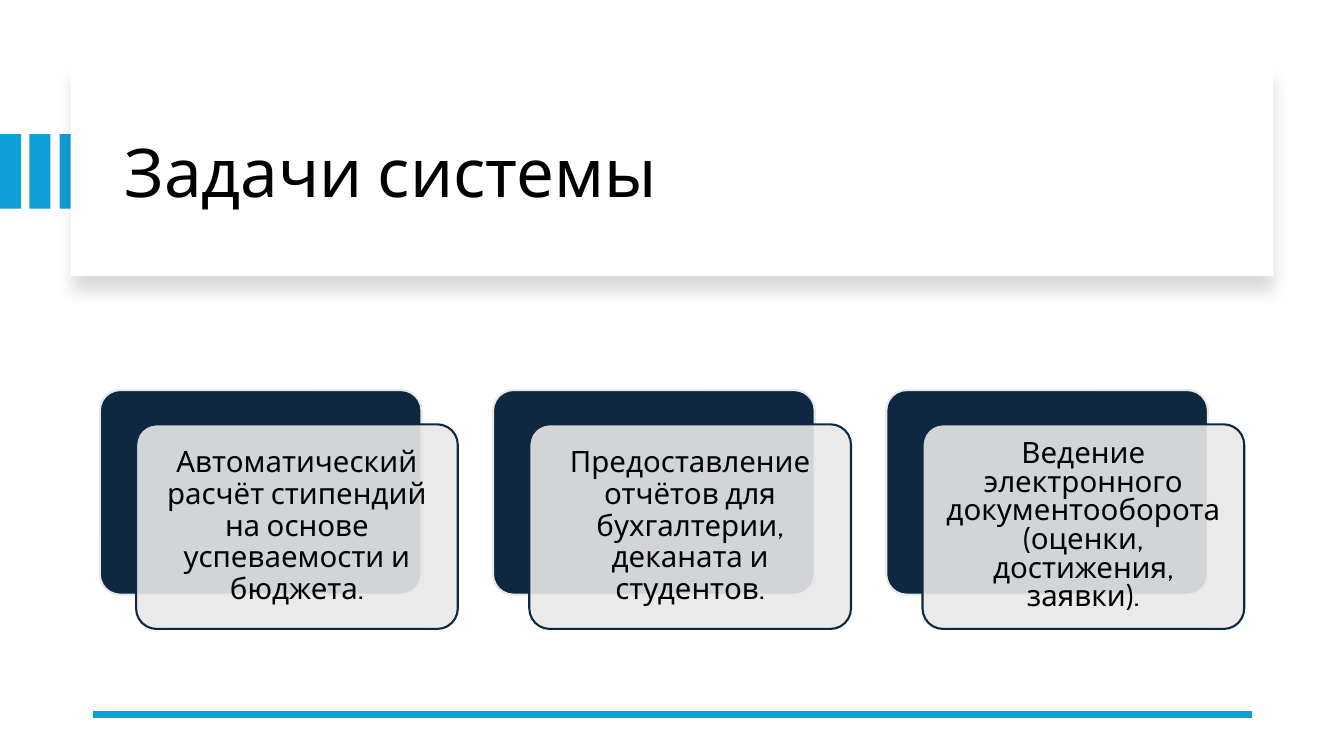
from dataclasses import dataclass
from typing import Any

from pptx import Presentation
from pptx.dml.color import RGBColor
from pptx.enum.shapes import MSO_CONNECTOR as Connector, MSO_SHAPE as Preset
from pptx.enum.text import MSO_ANCHOR as Anchor, MSO_AUTO_SIZE as AutoSize, PP_ALIGN as Align
from pptx.oxml.xmlchemy import OxmlElement
from pptx.util import Emu, Pt

EMU_PER_PX = 9144
FONT = "Cabin"
BLACK = RGBColor(0x00, 0x00, 0x00)
WHITE = RGBColor(0xFF, 0xFF, 0xFF)
BLUE = RGBColor(0x0F, 0x9E, 0xD5)
NAVY = RGBColor(0x0E, 0x28, 0x41)
GREY = RGBColor(0xE8, 0xE8, 0xE8)

CARD_TEXTS = (
    "Автоматический расчёт стипендий на основе успеваемости и бюджета.",
    "Предоставление отчётов для бухгалтерии, деканата и студентов.",
    "Ведение электронного документооборота (оценки, достижения, заявки).",
)
CARD_LEFT, CARD_TOP, CARD_PITCH = 99, 387, 390
CARD_WIDTH, CARD_HEIGHT = 319, 203
FRONT_DX, FRONT_DY, TEXT_INSET = 36, 34, 6


@dataclass(frozen=True)
class Area:
    left: int
    top: int
    width: int
    height: int

    def emu(self) -> list[Emu]:
        return [px(n) for n in (self.left, self.top, self.width, self.height)]


@dataclass(frozen=True)
class Panel:
    area: Area
    fill: RGBColor
    line: RGBColor | None = None
    preset: Preset = Preset.RECTANGLE
    opacity: int = 100


@dataclass(frozen=True)
class Label:
    area: Area
    text: str
    size: int
    frame_format: dict[str, Any]
    para_format: dict[str, Any]
    after_percent: int = 0


def px(length: int) -> Emu:
    return Emu(length * EMU_PER_PX)


def apply(target: Any, values: dict[str, Any]) -> None:
    for name, value in values.items():
        setattr(target, name, value)


def add_child(parent: Any, tag: str, **attributes: Any) -> Any:
    child = OxmlElement(tag)
    for name, value in attributes.items():
        child.set(name, str(value))
    parent.append(child)
    return child


def draw_panel(page: Any, panel: Panel) -> Any:
    box = page.shapes.add_shape(panel.preset, *panel.area.emu())
    box.shadow.inherit = False
    if panel.preset == Preset.ROUNDED_RECTANGLE:
        box.adjustments[0] = 0.1
    box.fill.solid()
    box.fill.fore_color.rgb = panel.fill
    if panel.opacity < 100:
        color = box.fill._xPr.solidFill.srgbClr
        add_child(color, "a:alpha", val=panel.opacity * 1000)
    if panel.line is None:
        box.line.fill.background()
    else:
        box.line.color.rgb = panel.line
        box.line.width = Pt(1.5)
    return box


def draw_shadow(box: Any) -> None:
    effects = box._element.spPr.find("{*}effectLst")
    shadow = add_child(effects, "a:outerShdw", blurRad=Pt(11), dist=Pt(10),
                       dir=5400000, algn="t", rotWithShape=0)
    color = add_child(shadow, "a:srgbClr", val=BLACK)
    add_child(color, "a:alpha", val=15000)


def draw_label(page: Any, label: Label) -> None:
    box = page.shapes.add_textbox(*label.area.emu())
    frame = box.text_frame
    apply(frame, {"word_wrap": True, "vertical_anchor": Anchor.MIDDLE} | label.frame_format)
    para = frame.paragraphs[0]
    apply(para, {"line_spacing": 0.9} | label.para_format)
    if label.after_percent:
        after = add_child(para._p.get_or_add_pPr(), "a:spcAft")
        add_child(after, "a:spcPct", val=label.after_percent * 1000)
    span = para.add_run()
    span.text = label.text
    apply(span.font, {"name": FONT, "size": Pt(label.size)})
    span.font.color.rgb = BLACK


def draw_rule(page: Any, left: int, right: int, top: int) -> None:
    rule = page.shapes.add_connector(Connector.STRAIGHT, px(right), px(top), px(left), px(top))
    rule.line.color.rgb = BLUE
    rule.line.width = Pt(4.5)
    add_child(rule._element.spPr, "a:effectLst")


def draw_card(page: Any, index: int, text: str) -> None:
    left = CARD_LEFT + index * CARD_PITCH
    back = Area(left, CARD_TOP, CARD_WIDTH, CARD_HEIGHT)
    front = Area(left + FRONT_DX, CARD_TOP + FRONT_DY, CARD_WIDTH, CARD_HEIGHT)
    inner = Area(front.left + TEXT_INSET, front.top + TEXT_INSET,
                 front.width - 2 * TEXT_INSET, front.height - 2 * TEXT_INSET)
    draw_panel(page, Panel(back, NAVY, GREY, Preset.ROUNDED_RECTANGLE))
    draw_panel(page, Panel(front, GREY, NAVY, Preset.ROUNDED_RECTANGLE, 90))
    margins = {f"margin_{side}": px(9) for side in ("left", "top", "right", "bottom")}
    draw_label(page, Label(inner, text, 21, margins | {"auto_size": AutoSize.TEXT_TO_FIT_SHAPE},
                           {"alignment": Align.CENTER}, 35))


def main() -> None:
    deck = Presentation()
    apply(deck, {"slide_width": px(1333), "slide_height": px(750)})
    page = deck.slides.add_slide(deck.slide_layouts[6])
    for index in range(3):
        draw_panel(page, Panel(Area(index * 59 // 2, 133, 21, 74), BLUE))
    draw_shadow(draw_panel(page, Panel(Area(70, 67, 1193, 207), WHITE)))
    draw_label(page, Label(Area(114, 89, 1113, 170), "Задачи системы", 48,
                           {}, {"alignment": Align.LEFT}))
    draw_rule(page, 92, 1242, 709)
    for index, text in enumerate(CARD_TEXTS):
        draw_card(page, index, text)
    deck.save("out.pptx")


if __name__ == "__main__":
    main()
